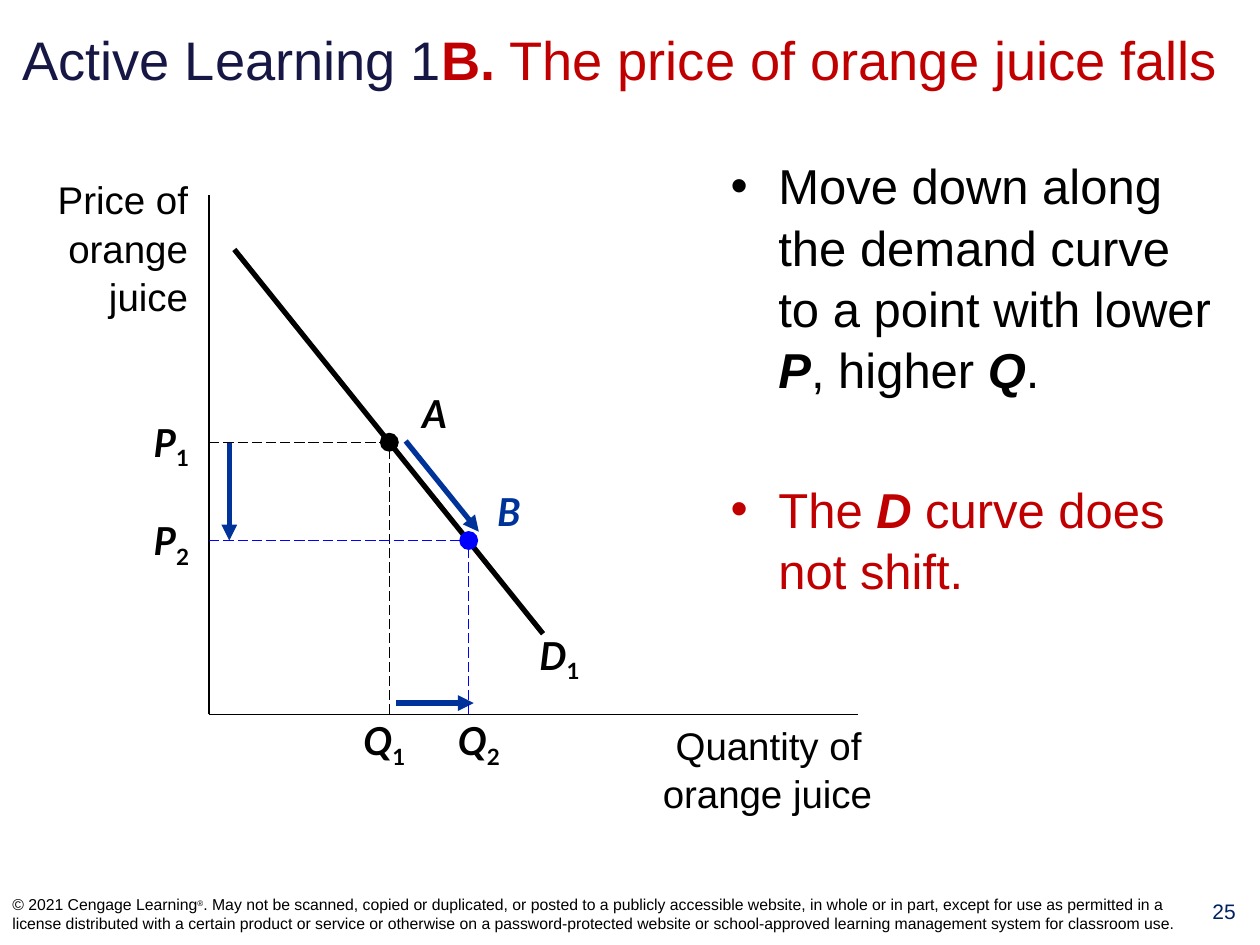
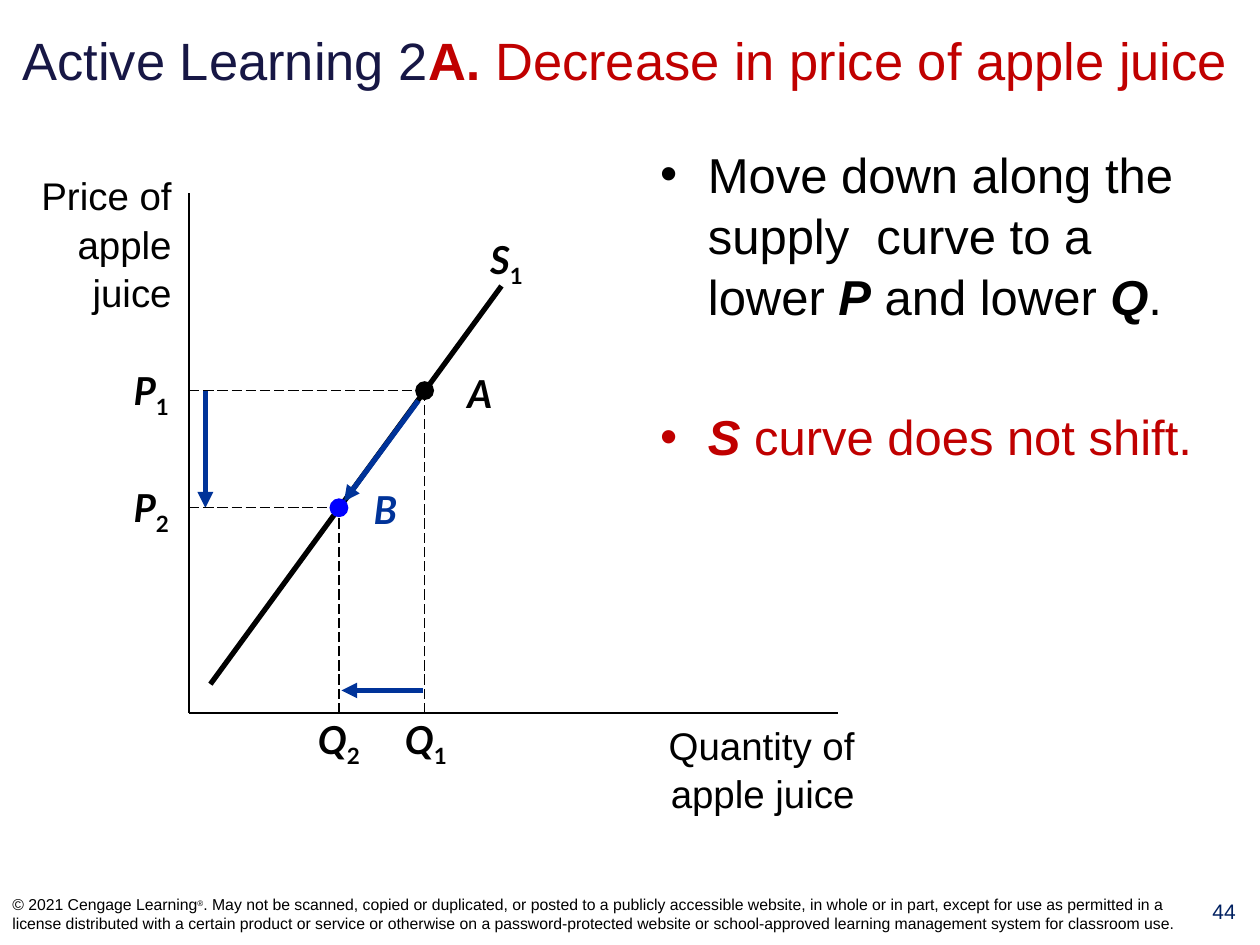
from dataclasses import dataclass

from lxml.etree import SubElement
from pptx import Presentation
from pptx.dml.color import RGBColor
from pptx.enum.dml import MSO_LINE
from pptx.enum.shapes import MSO_CONNECTOR as Connector, MSO_SHAPE as Shape
from pptx.enum.text import MSO_ANCHOR as Anchor, PP_ALIGN as Align
from pptx.oxml.ns import qn
from pptx.util import Inches, Pt

BLACK = "000000"
NAVY = "171745"
PAGE_BLUE = "002060"
RED = "C00000"
ARROW_BLUE = "003399"
POINT_BLUE = "0000FF"
BODY_FONT = "Arial"
LABEL_FONT = "Lato"
LABEL_WIDTH, LABEL_HEIGHT = 0.66, 0.47
DOT_SIZE = 0.15
AXIS_LENGTH = 5.15

Position = tuple[float, float]
Box = tuple[float, float, float, float]


@dataclass(frozen=True)
class Piece:
    text: str
    size: float
    color: str = BLACK
    bold: bool = False
    italic: bool = False
    baseline: int = 0
    font: str = BODY_FONT


@dataclass(frozen=True)
class Segment:
    start: Position
    end: Position


@dataclass(frozen=True)
class MarketPoint:
    name: str
    number: str
    at: Position
    name_at: Position
    quantity_label_x: float
    color: str
    name_color: str
    guide_color: str = BLACK


@dataclass(frozen=True)
class Lesson:
    page: str
    title: list[Piece]
    bullets: list[list[Piece]]
    bullet_box: Box
    origin: Position
    axis_top: float
    price_text: str
    price_box: Box
    quantity_text: str
    quantity_box: Box
    curve: Segment
    curve_name: str
    curve_name_at: Position
    arrows: list[Segment]
    points: list[MarketPoint]


def rgb(color: str) -> RGBColor:
    return RGBColor.from_string(color)


def add_text(slide, box: Box, paragraphs: list[list[Piece]], align=Align.LEFT,
             anchor=Anchor.TOP, spacing: float = 1.0, bulleted: bool = False) -> None:
    text_box = slide.shapes.add_textbox(*map(Inches, box))
    frame = text_box.text_frame
    frame.word_wrap = True
    frame.vertical_anchor = anchor
    for index, pieces in enumerate(paragraphs):
        paragraph = frame.add_paragraph() if index else frame.paragraphs[0]
        paragraph.alignment = align
        paragraph.line_spacing = spacing
        if index:
            paragraph.space_before = Pt(45)
        if bulleted:
            add_bullet(paragraph, pieces[0].color)
        for piece in pieces:
            add_piece(paragraph, piece)


def add_bullet(paragraph, color: str) -> None:
    properties = paragraph._p.get_or_add_pPr()
    properties.set("marL", str(Inches(0.38)))
    properties.set("indent", str(-Inches(0.38)))
    bullet_color = SubElement(properties, qn("a:buClr"))
    SubElement(bullet_color, qn("a:srgbClr"), val=color)
    SubElement(properties, qn("a:buFont"), typeface=BODY_FONT)
    SubElement(properties, qn("a:buChar"), char="•")


def add_piece(paragraph, piece: Piece) -> None:
    run = paragraph.add_run()
    run.text = piece.text
    font = run.font
    font.name = piece.font
    font.size = Pt(piece.size)
    font.bold = piece.bold
    font.italic = piece.italic
    font.color.rgb = rgb(piece.color)
    if piece.baseline:
        run._r.get_or_add_rPr().set("baseline", str(piece.baseline * 1000))


def add_axis_title(slide, box: Box, text: str) -> None:
    frame = slide.shapes.add_textbox(*map(Inches, box)).text_frame
    frame.word_wrap = True
    frame.text = text
    paragraph = frame.paragraphs[0]
    paragraph.alignment = Align.RIGHT
    paragraph.line_spacing = 1.05
    for run in paragraph.runs:
        run.font.name = BODY_FONT
        run.font.size = Pt(22)
        run.font.color.rgb = rgb(BLACK)


def add_line(slide, segment: Segment, color: str, width: float,
             dashed: bool = False, arrow: bool = False) -> None:
    connector = slide.shapes.add_connector(
        Connector.STRAIGHT, *map(Inches, segment.start + segment.end))
    line = connector.line
    line.color.rgb = rgb(color)
    line.width = Pt(width)
    if dashed:
        line.dash_style = MSO_LINE.LONG_DASH
    if arrow:
        SubElement(line._get_or_add_ln(), qn("a:tailEnd"), type="triangle")
    SubElement(connector._element.spPr, qn("a:effectLst"))


def add_label(slide, center: Position, letter: str, subscript: str = "",
              color: str = BLACK) -> None:
    pieces = [Piece(letter, 22, color, bold=True, italic=True, font=LABEL_FONT)]
    if subscript:
        pieces.append(Piece(subscript, 22, color, bold=True, baseline=-25, font=LABEL_FONT))
    x, y = center
    box = (x - LABEL_WIDTH / 2, y - LABEL_HEIGHT / 2, LABEL_WIDTH, LABEL_HEIGHT)
    add_text(slide, box, [pieces], align=Align.CENTER)


def add_guides(slide, point: MarketPoint, origin: Position) -> None:
    x, y = point.at
    axis_x, axis_y = origin
    for foot in ((axis_x, y), (x, axis_y)):
        add_line(slide, Segment(foot, point.at), point.guide_color, 0.75, dashed=True)
    add_label(slide, (axis_x - 0.3, y), "P", point.number)
    add_label(slide, (point.quantity_label_x, axis_y + 0.21), "Q", point.number)


def add_point(slide, point: MarketPoint) -> None:
    x, y = point.at
    dot = slide.shapes.add_shape(
        Shape.OVAL, Inches(x - DOT_SIZE / 2), Inches(y - DOT_SIZE / 2),
        Inches(DOT_SIZE), Inches(DOT_SIZE))
    dot.shadow.inherit = False
    dot.fill.solid()
    dot.fill.fore_color.rgb = rgb(point.color)
    dot.line.fill.background()
    add_label(slide, point.name_at, point.name, color=point.name_color)


def add_graph(slide, lesson: Lesson) -> None:
    axis_x, axis_y = lesson.origin
    for end in ((axis_x, lesson.axis_top), (axis_x + AXIS_LENGTH, axis_y)):
        add_line(slide, Segment(lesson.origin, end), BLACK, 1)
    add_axis_title(slide, lesson.price_box, lesson.price_text)
    add_axis_title(slide, lesson.quantity_box, lesson.quantity_text)
    add_line(slide, lesson.curve, BLACK, 3)
    add_label(slide, lesson.curve_name_at, lesson.curve_name, "1")
    for arrow in lesson.arrows:
        add_line(slide, arrow, ARROW_BLUE, 3, arrow=True)
    for point in lesson.points:
        add_guides(slide, point, lesson.origin)
    for point in lesson.points:
        add_point(slide, point)


def add_lesson(presentation, lesson: Lesson) -> None:
    slide = presentation.slides.add_slide(presentation.slide_layouts[6])
    add_text(slide, (0.08, 0.11, 9.8, 0.72), [lesson.title], anchor=Anchor.MIDDLE)
    add_text(slide, lesson.bullet_box, lesson.bullets, spacing=1.04, bulleted=True)
    add_graph(slide, lesson)
    add_text(slide, (9.43, 7.08, 0.57, 0.41), [[Piece(lesson.page, 12, PAGE_BLUE)]],
             align=Align.CENTER)
    add_text(slide, (0, 7, 9.5, 0.5), [COPYRIGHT], anchor=Anchor.MIDDLE)


def title_pieces(size: float, activity: str, letter: str, topic: str) -> list[Piece]:
    return [Piece(activity, size, NAVY), Piece(letter, size, RED, bold=True),
            Piece(topic, size, RED)]


def plain(text: str, color: str = BLACK) -> Piece:
    return Piece(text, 28, color)


def variable(text: str, color: str = BLACK) -> Piece:
    return Piece(text, 28, color, bold=True, italic=True)


COPYRIGHT = [
    Piece("© 2021 Cengage Learning", 9),
    Piece("®", 8, baseline=30),
    Piece(". May not be scanned, copied or duplicated, or posted to a publicly accessible "
          "website, in whole or in part, except for use as permitted in a license "
          "distributed with a certain product or service or otherwise on a "
          "password-protected website or school-approved learning management system "
          "for classroom use.", 9),
]

LESSONS = [
    Lesson(
        page="25",
        title=title_pieces(31, "Active Learning 1", "B.", " The price of orange juice falls"),
        bullets=[
            [plain("Move down along the demand curve to a point with lower "),
             variable("P"), plain(", higher "), variable("Q"), plain(".")],
            [plain("The ", RED), variable("D", RED), plain(" curve does not shift.", RED)],
        ],
        bullet_box=(5.7, 1.17, 4.03, 5.58),
        origin=(1.66, 5.67),
        axis_top=1.55,
        price_text="Price of orange juice",
        price_box=(0.17, 1.33, 1.42, 1.21),
        quantity_text="Quantity of \vorange juice",
        quantity_box=(4.14, 5.66, 2.88, 0.83),
        curve=Segment((1.86, 1.98), (4.31, 5.03)),
        curve_name="D",
        curve_name_at=(4.44, 5.2),
        arrows=[Segment((1.82, 3.52), (1.82, 4.29)),
                Segment((3.14, 5.58), (3.76, 5.58)),
                Segment((3.22, 3.5), (3.8, 4.22))],
        points=[
            MarketPoint("A", "1", (3.09, 3.51), (3.45, 3.28), 3.05, BLACK, BLACK),
            MarketPoint("B", "2", (3.72, 4.29), (4.04, 4.06), 3.8,
                        POINT_BLUE, ARROW_BLUE, POINT_BLUE),
        ],
    ),
    Lesson(
        page="44",
        title=title_pieces(30, "Active Learning 2", "A.", " Decrease in price of apple juice"),
        bullets=[
            [plain("Move down along the supply  curve to a lower "), variable("P"),
             plain(" and lower "), variable("Q"), plain(".")],
            [variable("S", RED), plain(" curve does not shift.", RED)],
        ],
        bullet_box=(5.14, 1.08, 4.6, 5.67),
        origin=(1.5, 5.66),
        axis_top=1.53,
        price_text="Price of apple juice",
        price_box=(0.04, 1.3, 1.42, 1.21),
        quantity_text="Quantity of apple juice",
        quantity_box=(4.46, 5.66, 2.42, 0.84),
        curve=Segment((3.98, 2.27), (1.67, 5.43)),
        curve_name="S",
        curve_name_at=(4.02, 2.06),
        arrows=[Segment((3.36, 5.48), (2.71, 5.48)),
                Segment((1.63, 3.1), (1.63, 4.03)),
                Segment((3.32, 3.18), (2.73, 3.98))],
        points=[
            MarketPoint("A", "1", (3.37, 3.1), (3.81, 3.12), 3.38, BLACK, BLACK),
            MarketPoint("B", "2", (2.69, 4.03), (3.06, 4.04), 2.69, POINT_BLUE, ARROW_BLUE),
        ],
    ),
]


def main() -> None:
    presentation = Presentation()
    presentation.slide_width = Inches(10)
    presentation.slide_height = Inches(7.5)
    for lesson in LESSONS:
        add_lesson(presentation, lesson)
    presentation.save("out.pptx")


if __name__ == "__main__":
    main()
